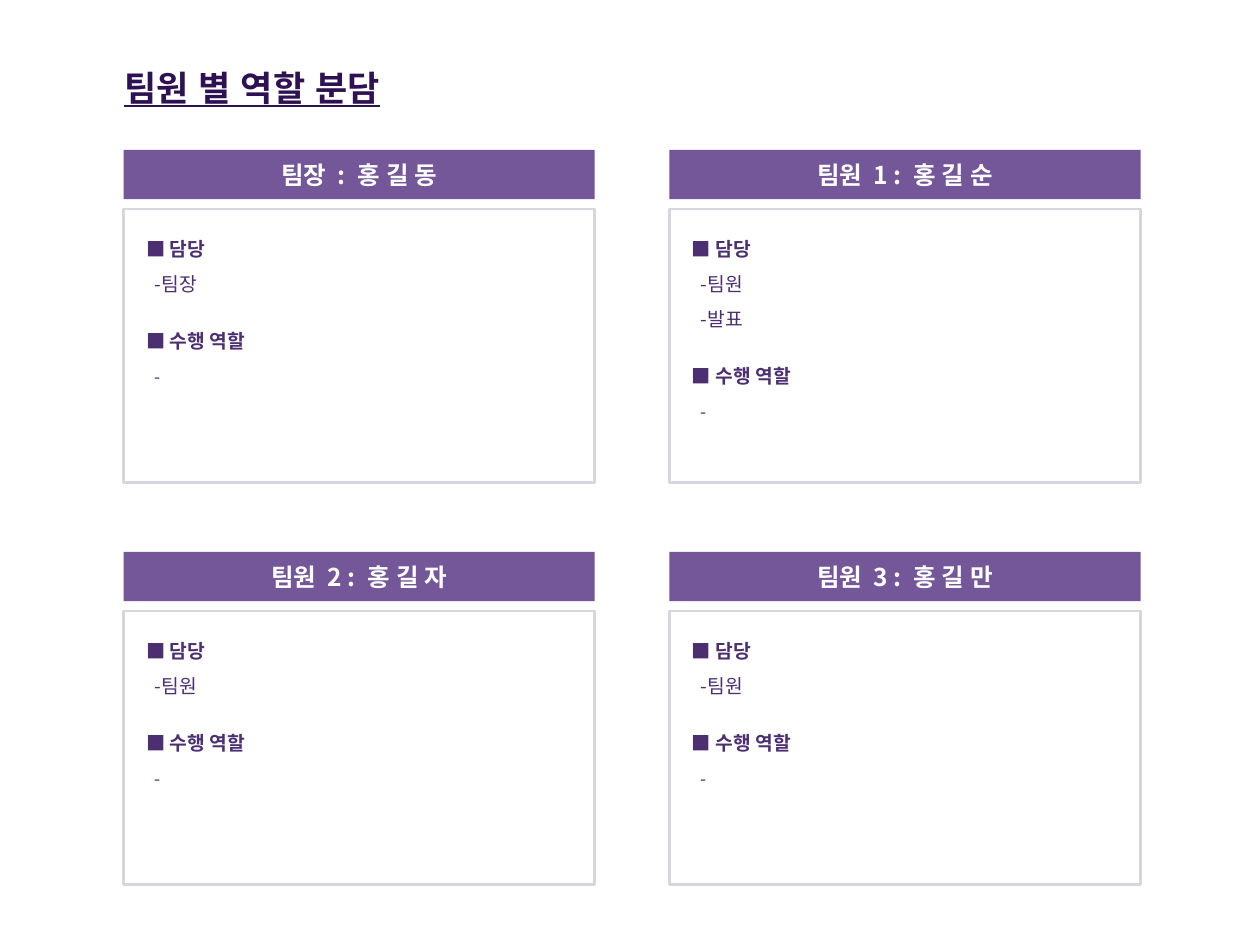
import pptx
import pptx.util
import pptx.dml.color
import pptx.enum.shapes
import pptx.enum.text
import pptx.oxml.ns
import lxml.etree

Pt = pptx.util.Pt
FONT = "Noto Sans CJK KR"
LEFT, TOP = 70.6, 85.7
COL_STEP, ROW_STEP = 311.9, 229.7
CARD_W, HEAD_H, BODY_H = 269.3, 28.1, 156.2


def color(value):
    return pptx.dml.color.RGBColor.from_string(value)


def add_run(p, text, size, fill, bold=False, font=FONT, spacing=0):
    r = p.add_run()
    r.text = text
    r.font.size = Pt(size)
    r.font.bold = bold
    r.font.name = font
    r.font.color.rgb = color(fill)
    props = r.font._element
    ea = lxml.etree.SubElement(props, pptx.oxml.ns.qn("a:ea"))
    ea.set("typeface", font)
    if spacing:
        props.set("spc", str(spacing * 100))
    return r


def add_box(s, x, y, w, h, fill=None, line=None):
    rect = pptx.enum.shapes.MSO_SHAPE.RECTANGLE
    sp = s.shapes.add_shape(rect, Pt(x), Pt(y), Pt(w), Pt(h))
    sp.shadow.inherit = False
    if fill:
        sp.fill.solid()
        sp.fill.fore_color.rgb = color(fill)
    else:
        sp.fill.background()
    if line:
        sp.line.color.rgb = color(line)
        sp.line.width = Pt(1.5)
    else:
        sp.line.fill.background()
    return sp


def add_text(s, x, y, w, h, wrap=True):
    tf = s.shapes.add_textbox(Pt(x), Pt(y), Pt(w), Pt(h)).text_frame
    tf.word_wrap = wrap
    return tf


def add_title(s, text):
    tf = add_text(s, 64, 34.6, 177.1, 31.7, wrap=False)
    r = add_run(tf.paragraphs[0], text, 20, "2D1152", True, "Arial")
    r.font.underline = True


def add_header(s, x, y, role, mark, name):
    sp = add_box(s, x, y, CARD_W, HEAD_H, fill="735798")
    tf = sp.text_frame
    tf.vertical_anchor = pptx.enum.text.MSO_ANCHOR.MIDDLE
    p = tf.paragraphs[0]
    p.alignment = pptx.enum.text.PP_ALIGN.CENTER
    for text, spacing in ((role, 0), (" ", 3), (mark, 0), (" ", 4), (name, 0)):
        add_run(p, text, 14, "FFFFFF", True, spacing=spacing)


def add_line(tf, text, size=11, bold=False, before=0):
    p = tf.paragraphs[0] if not tf.paragraphs[0].runs else tf.add_paragraph()
    p.line_spacing = Pt(20)
    p.space_before = Pt(before)
    if not bold:
        p._p.get_or_add_pPr().set("marL", str(Pt(5)))
    add_run(p, text, size, "4B2F70", bold)


def add_duties(s, x, y, duties):
    tf = add_text(s, x, y, 257.8, 78.4 + 20.2 * len(duties))
    add_line(tf, "■ 담당", bold=True)
    for duty in duties:
        add_line(tf, "-" + duty)
    add_line(tf, "■ 수행 역할", bold=True, before=12.5)
    add_line(tf, "-", size=10)


def main():
    prs = pptx.Presentation()
    prs.slide_width, prs.slide_height = Pt(720), Pt(540)
    s = prs.slides.add_slide(prs.slide_layouts[6])
    add_title(s, "팀원 별 역할 분담")
    members = [
        ("팀장", ":", "홍 길 동", ["팀장"]),
        ("팀원", "1 :", "홍 길 순", ["팀원", "발표"]),
        ("팀원", "2 :", "홍 길 자", ["팀원"]),
        ("팀원", "3 :", "홍 길 만", ["팀원"]),
    ]
    for i, (role, mark, name, duties) in enumerate(members):
        row, col = divmod(i, 2)
        x, y = LEFT + col * COL_STEP, TOP + row * ROW_STEP
        add_header(s, x, y, role, mark, name)
        add_box(s, x, y + 33.8, CARD_W, BODY_H, line="D6D7DE")
        add_duties(s, x + 5.8, y + 39.6, duties)
    prs.save("out.pptx")


main()
